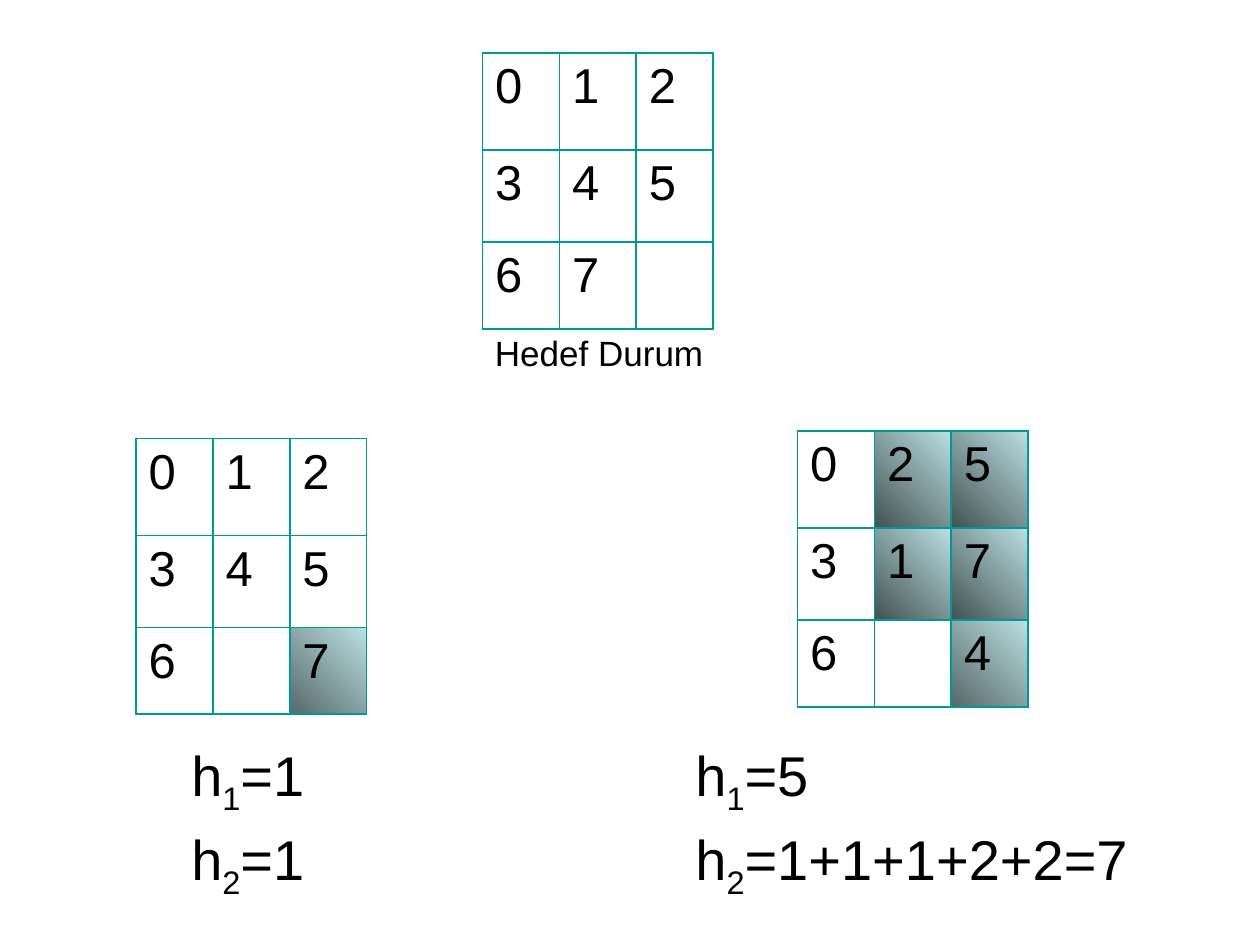
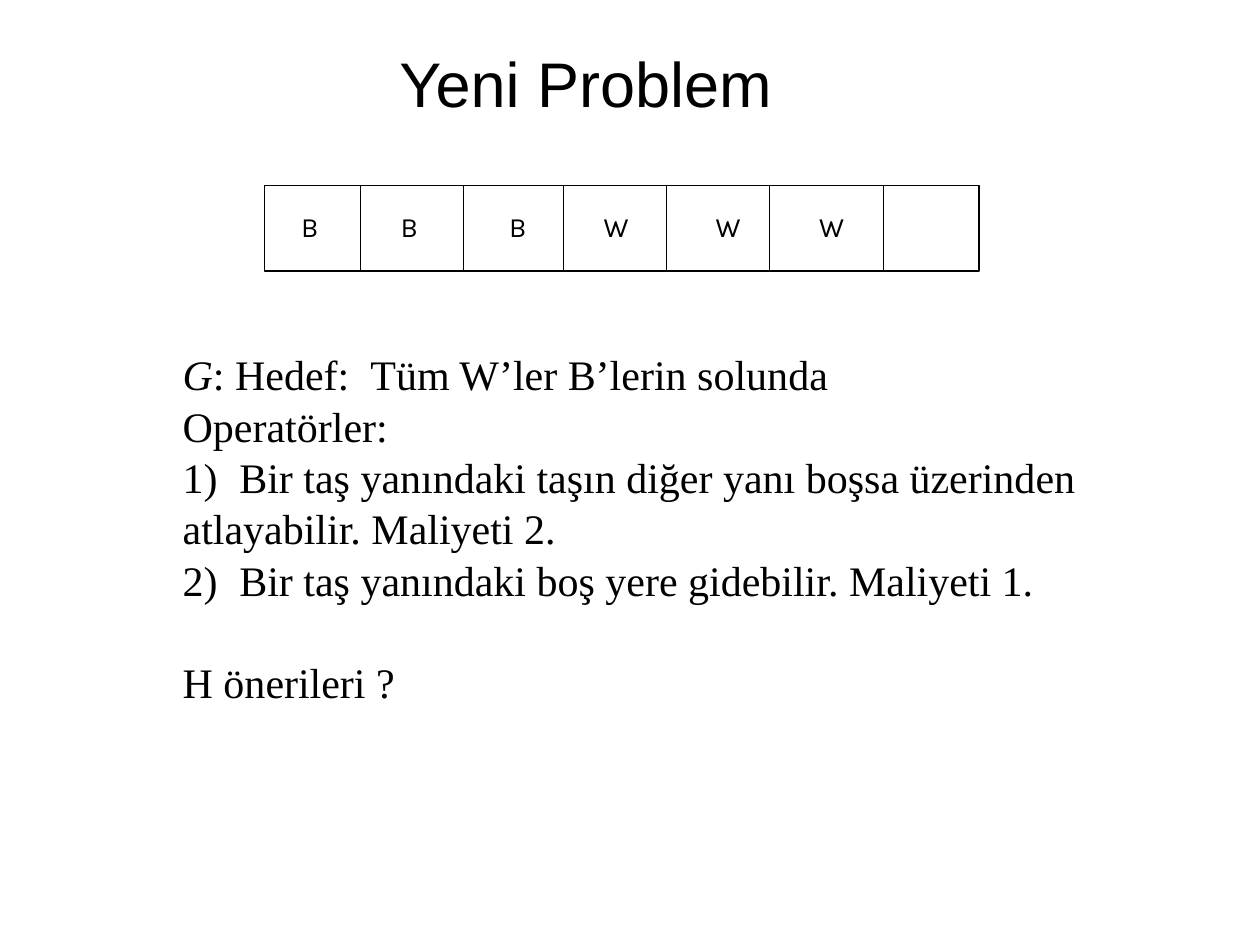
from lxml.etree import SubElement
from pptx import Presentation
from pptx.dml.color import RGBColor
from pptx.enum.shapes import MSO_CONNECTOR, MSO_SHAPE
from pptx.enum.text import MSO_ANCHOR, PP_ALIGN
from pptx.oxml.ns import qn
from pptx.util import Inches, Pt

BLACK = "000000"
TEAL = "009999"
TILE_LIGHT = "BBE0E3"
TILE_DARK = "435152"
TILE_GREY = "576869"
SANS = "Arial"
SERIF = "Times New Roman"
TILE_FONT = "Karla"

COLUMN_WIDTH = 0.61
ROW_HEIGHTS = [0.77, 0.73, 0.69]
STRIP_LEFT, STRIP_TOP, STRIP_WIDTH, STRIP_HEIGHT = 2.1, 1.47, 5.67, 0.68
STRIP_DIVIDERS = [2.86, 3.68, 4.47, 5.29, 6.11, 7.01]
STRIP_LETTERS = [(2.3, "B"), (3.09, "B"), (3.95, "B"),
                 (4.7, "W"), (5.59, "W"), (6.41, "W")]


def color(hex_string):
    return RGBColor.from_string(hex_string)


def write_text(paragraph, text, size=28, font=SANS, italic=False, subscript=False):
    run = paragraph.add_run()
    run.text = text
    run.font.size = Pt(size)
    run.font.name = font
    run.font.italic = italic
    run.font.color.rgb = color(BLACK)
    if subscript:
        run.font._element.set("baseline", "-25000")


def set_tab(paragraph, position):
    tabs = SubElement(paragraph._p.get_or_add_pPr(), qn("a:tabLst"))
    SubElement(tabs, qn("a:tab"), pos=str(Inches(position)), algn="l")


def format_frame(shape, side=0.1, edge=0.05):
    frame = shape.text_frame
    frame.word_wrap = True
    frame.vertical_anchor = MSO_ANCHOR.TOP
    frame.margin_left = frame.margin_right = Inches(side)
    frame.margin_top = frame.margin_bottom = Inches(edge)
    return frame


def place(shape, left, top, width, height):
    shape.left, shape.top = Inches(left), Inches(top)
    shape.width, shape.height = Inches(width), Inches(height)


def add_text_box(slide, left, top, width, height, **margins):
    box = slide.shapes.add_textbox(
        Inches(left), Inches(top), Inches(width), Inches(height))
    return format_frame(box, **margins)


def add_title(slide, text, left, top, width, height):
    title = slide.shapes.title
    place(title, left, top, width, height)
    paragraph = format_frame(title, 0.09, 0.04).paragraphs[0]
    paragraph.alignment = PP_ALIGN.LEFT
    paragraph.line_spacing = 1.02
    write_text(paragraph, text, size=36)


def set_borders(cell):
    properties = cell._tc.get_or_add_tcPr()
    for side in ("lnL", "lnR", "lnT", "lnB"):
        line = SubElement(properties, qn(f"a:{side}"), w=str(Pt(1.08)))
        fill = SubElement(line, qn("a:solidFill"))
        SubElement(fill, qn("a:srgbClr"), val=TEAL)


def fill_cell(cell, dark):
    if dark is None:
        cell.fill.background()
        return
    cell.fill.gradient()
    cell.fill.gradient_angle = 45
    for stop, shade in zip(cell.fill.gradient_stops, (dark, TILE_LIGHT)):
        stop.color.rgb = color(shade)


def add_puzzle(slide, left, top, rows, misplaced=""):
    frame = slide.shapes.add_table(
        3, 3, Inches(left), Inches(top),
        Inches(3 * COLUMN_WIDTH), Inches(sum(ROW_HEIGHTS)))
    table = frame.table
    table.first_row = table.horz_banding = False
    for column in table.columns:
        column.width = Inches(COLUMN_WIDTH)
    for row_index, tiles in enumerate(rows):
        table.rows[row_index].height = Inches(ROW_HEIGHTS[row_index])
        dark = TILE_GREY if row_index == 2 else TILE_DARK
        for column_index, tile in enumerate(tiles):
            cell = table.cell(row_index, column_index)
            set_borders(cell)
            fill_cell(cell, dark if tile in misplaced else None)
            if tile != " ":
                write_text(cell.text_frame.paragraphs[0], tile)


def add_heuristics(slide, left, top, width, height, values):
    frame = add_text_box(slide, left, top, width, height)
    for number, value in enumerate(values, 1):
        paragraph = frame.paragraphs[0] if number == 1 else frame.add_paragraph()
        if number > 1:
            paragraph.space_before = Pt(4)
        write_text(paragraph, "h", size=32)
        write_text(paragraph, str(number), size=32, subscript=True)
        write_text(paragraph, f"={value}", size=32)


def add_divider(slide, x):
    line = slide.shapes.add_connector(
        MSO_CONNECTOR.STRAIGHT, Inches(x), Inches(STRIP_TOP),
        Inches(x), Inches(STRIP_TOP + STRIP_HEIGHT))
    line.line.color.rgb = color(BLACK)
    line.line.width = Pt(0.75)
    SubElement(line._element.spPr, qn("a:effectLst"))


def add_strip(slide):
    strip = slide.shapes.add_shape(
        MSO_SHAPE.ROUNDED_RECTANGLE, Inches(STRIP_LEFT), Inches(STRIP_TOP),
        Inches(STRIP_WIDTH), Inches(STRIP_HEIGHT))
    strip.adjustments[0] = 0
    strip.shadow.inherit = False
    strip.fill.background()
    strip.line.color.rgb = color(BLACK)
    strip.line.width = Pt(0.75)
    for x in STRIP_DIVIDERS:
        add_divider(slide, x)
    for left, letter in STRIP_LETTERS:
        frame = add_text_box(slide, left, 1.62, 0.45, 0.36, side=0.09, edge=0.04)
        frame.paragraphs[0].line_spacing = 1.02
        write_text(frame.paragraphs[0], letter, size=16, font=TILE_FONT)


def add_rules(slide):
    frame = add_text_box(slide, 1.36, 2.72, 8.16, 3.35, side=0.09, edge=0.04)
    goal = frame.paragraphs[0]
    set_tab(goal, 1.49)
    write_text(goal, "G", size=24, font=SERIF, italic=True)
    write_text(goal, ": Hedef:\tTüm W’ler B’lerin solunda", size=24, font=SERIF)
    for text in (
        "Operatörler:",
        "1)\tBir taş yanındaki taşın diğer yanı boşsa üzerinden "
        "atlayabilir. Maliyeti 2.",
        "2)\tBir taş yanındaki boş yere gidebilir. Maliyeti 1.",
        "H önerileri ?",
    ):
        paragraph = frame.add_paragraph()
        set_tab(paragraph, 0.45)
        write_text(paragraph, text, size=24, font=SERIF)
    for paragraph in frame.paragraphs:
        paragraph.line_spacing = 1.02
    frame.paragraphs[-1].space_before = Pt(29)


def build_heuristic_slide(presentation):
    slide = presentation.slides.add_slide(presentation.slide_layouts[6])
    add_puzzle(slide, 3.83, 0.42, ["012", "345", "67 "])
    add_puzzle(slide, 1.08, 3.48, ["012", "345", "6 7"], misplaced="7")
    add_puzzle(slide, 6.33, 3.42, ["025", "317", "6 4"], misplaced="25174")
    caption = add_text_box(slide, 3.83, 2.58, 2.33, 0.44)
    write_text(caption.paragraphs[0], "Hedef Durum", size=20)
    add_heuristics(slide, 1.42, 5.83, 3, 1.49, ["1", "1"])
    add_heuristics(slide, 5.42, 5.83, 4.25, 1.33, ["5", "1+1+1+2+2=7"])


def build_problem_slide(presentation):
    slide = presentation.slides.add_slide(presentation.slide_layouts[5])
    add_title(slide, "Yeni Problem", 3.08, 0.3, 3.25, 0.7)
    add_strip(slide)
    add_rules(slide)


def main():
    presentation = Presentation()
    presentation.slide_width = Inches(10)
    presentation.slide_height = Inches(7.5)
    build_heuristic_slide(presentation)
    build_problem_slide(presentation)
    presentation.save("out.pptx")


if __name__ == "__main__":
    main()
